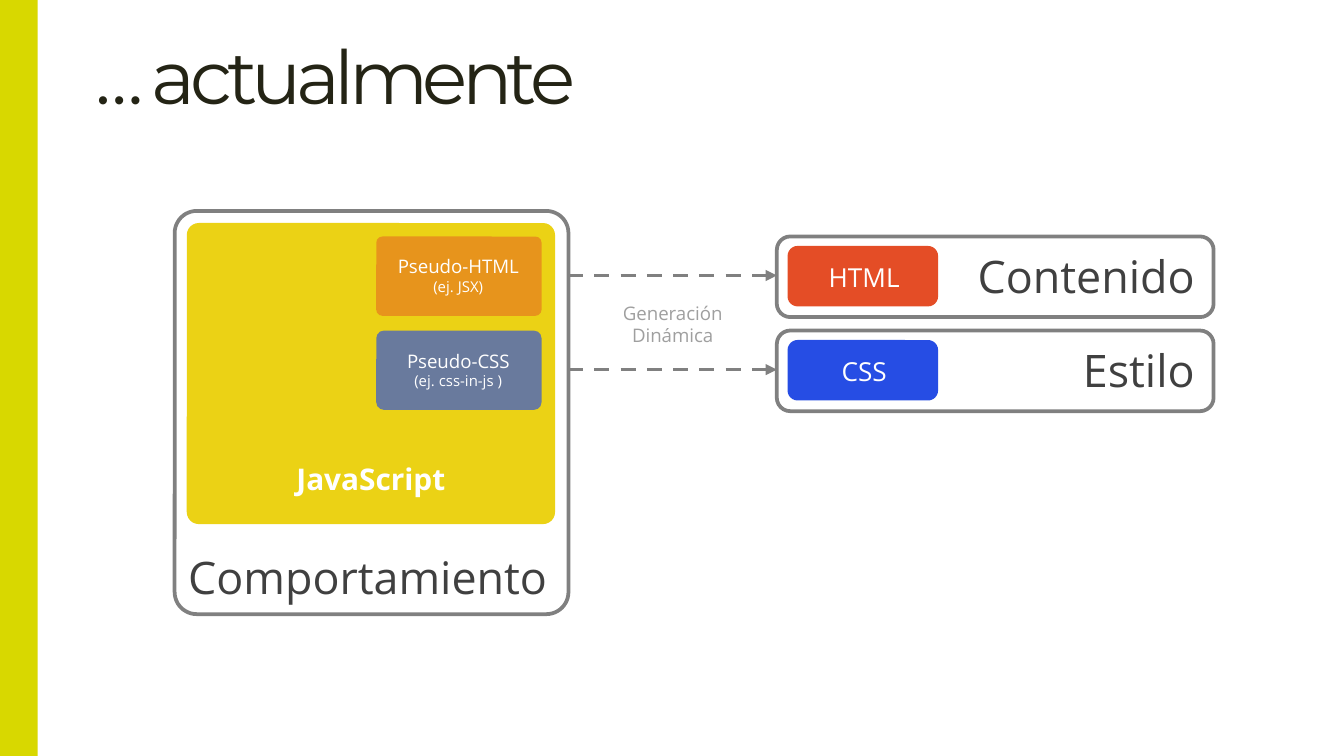
from dataclasses import dataclass

import pptx
import pptx.dml.color
import pptx.enum.dml
import pptx.enum.shapes
import pptx.enum.text
import pptx.oxml.ns
import pptx.util
from lxml import etree

Inches = pptx.util.Inches
Align = pptx.enum.text.PP_ALIGN
Anchor = pptx.enum.text.MSO_ANCHOR
Kind = pptx.enum.shapes.MSO_SHAPE
qn = pptx.oxml.ns.qn

GRAY, DARK, WHITE = "808080", "404040", "FFFFFF"
HTML_RED, CSS_BLUE = "E44D26", "264DE4"
SLIDE_WIDTH = 10
SLIDE_HEIGHT = SLIDE_WIDTH * 9 / 16


@dataclass
class Box:
    left: float
    top: float
    width: float
    height: float

    def lengths(self) -> list:
        return [Inches(v) for v in (self.left, self.top, self.width, self.height)]


@dataclass
class Line:
    text: str
    size: float
    color: str = WHITE
    bold: bool = False
    alpha: int = 100
    same_paragraph: bool = False


@dataclass
class Output:
    name: str
    role: str
    color: str
    top: float


@dataclass
class Pseudo:
    lines: list
    color: str
    alpha: int
    top: float
    radius: float
    label: Box


def set_attributes(target, values: dict) -> None:
    for name, value in values.items():
        setattr(target, name, value)


def paint(fill, color: str, alpha: int = 100) -> None:
    fill.solid()
    fill.fore_color.rgb = pptx.dml.color.RGBColor.from_string(color)
    if alpha < 100:
        for node in fill._xPr.iter(qn("a:srgbClr")):
            etree.SubElement(node, qn("a:alpha"), val=str(alpha * 1000))


def write(frame, lines: list, align=Align.CENTER, anchor=Anchor.MIDDLE,
          font: str = "Open Sans", inset: float = 0.05) -> None:
    margin = Inches(inset)
    set_attributes(frame, {
        "word_wrap": True, "vertical_anchor": anchor,
        "auto_size": pptx.enum.text.MSO_AUTO_SIZE.NONE,
        "margin_left": margin, "margin_right": margin,
        "margin_top": margin, "margin_bottom": margin,
    })
    paragraph = frame.paragraphs[0]
    for i, line in enumerate(lines):
        if line.same_paragraph:
            paragraph.add_line_break()
        elif i:
            paragraph = frame.add_paragraph()
        paragraph.alignment = align
        run = paragraph.add_run()
        run.text = line.text
        set_attributes(run.font, {"name": font, "bold": line.bold,
                                  "size": pptx.util.Pt(line.size)})
        paint(run.font.fill, line.color, line.alpha)


def add_label(slide, box: Box, lines: list, align=Align.CENTER) -> None:
    write(slide.shapes.add_textbox(*box.lengths()).text_frame, lines, align)


def add_panel(slide, box: Box, color: str, radius: float = 0, alpha: int = 100,
              outlined: bool = False):
    kind = Kind.ROUNDED_RECTANGLE if radius else Kind.RECTANGLE
    panel = slide.shapes.add_shape(kind, *box.lengths())
    panel.shadow.inherit = False
    if radius:
        panel.adjustments[0] = radius
    paint(panel.fill, color, alpha)
    if outlined:
        paint(panel.line.fill, GRAY)
        panel.line.width = pptx.util.Pt(2)
    else:
        panel.line.fill.background()
    return panel


def add_dashed_arrow(slide, left: float, right: float, y: float) -> None:
    arrow = slide.shapes.add_connector(
        pptx.enum.shapes.MSO_CONNECTOR.STRAIGHT,
        Inches(left), Inches(y), Inches(right), Inches(y))
    paint(arrow.line.fill, GRAY)
    set_attributes(arrow.line, {"width": pptx.util.Pt(2),
                                "dash_style": pptx.enum.dml.MSO_LINE.DASH})
    properties = arrow._element.spPr
    etree.SubElement(properties.find(qn("a:ln")), qn("a:tailEnd"), type="triangle")
    etree.SubElement(properties, qn("a:effectLst"))


def add_title(slide, text: str) -> None:
    title = slide.shapes.title
    set_attributes(title, dict(zip(("left", "top", "width", "height"),
                                   Box(0.71, 0, 9.02, 0.89).lengths())))
    write(title.text_frame, [Line(text, 40, "242415")], Align.LEFT,
          Anchor.BOTTOM, "Montserrat", 0)
    # Tight letter spacing, in hundredths of a point
    title.text_frame.paragraphs[0].runs[0].font._element.set("spc", "-300")


def add_behaviour(slide, pseudos: list) -> None:
    add_panel(slide, Box(1.3, 1.57, 2.93, 3), WHITE, 0.056, outlined=True)
    add_label(slide, Box(1.35, 4.04, 2.83, 0.5),
              [Line("Comportamiento", 24, DARK)], Align.LEFT)
    javascript = add_panel(slide, Box(1.39, 1.66, 2.74, 2.24), "EBD215", 0.04)
    write(javascript.text_frame, [Line("JavaScript", 16, bold=True)],
          anchor=Anchor.BOTTOM)
    javascript.text_frame.margin_bottom = Inches(0.18)
    for pseudo in pseudos:
        add_panel(slide, Box(2.8, pseudo.top, 1.23, 0.59), pseudo.color,
                  pseudo.radius, pseudo.alpha)
        add_label(slide, pseudo.label, pseudo.lines)


def add_output(slide, output: Output) -> None:
    top = output.top
    add_panel(slide, Box(5.78, top, 3.25, 0.6), WHITE, 0.167, outlined=True)
    add_label(slide, Box(5.81, top + 0.04, 3.13, 0.5),
              [Line(output.role, 24, DARK)], Align.RIGHT)
    add_panel(slide, Box(5.86, top + 0.07, 1.12, 0.45), output.color, 0.167)
    add_label(slide, Box(5.89, top + 0.13, 1.08, 0.34), [Line(output.name, 14)])


def main() -> None:
    deck = pptx.Presentation()
    set_attributes(deck, {"slide_width": Inches(SLIDE_WIDTH),
                          "slide_height": Inches(SLIDE_HEIGHT)})
    slide = deck.slides.add_slide(deck.slide_layouts[5])

    # Title and side band
    add_title(slide, "… actualmente")
    add_panel(slide, Box(0, 0, 0.28, SLIDE_HEIGHT), "D8D800")

    outputs = [Output("CSS", "Estilo", CSS_BLUE, 2.46),
               Output("HTML", "Contenido", HTML_RED, 1.76)]
    pseudos = [
        Pseudo([Line("Pseudo-HTML", 10), Line("(ej. JSX)", 8)],
               HTML_RED, 46, 1.76, 0.078, Box(2.84, 1.85, 1.14, 0.4)),
        Pseudo([Line("Pseudo-CSS", 10),
                Line("(ej. css-in-js )", 8, same_paragraph=True)],
               CSS_BLUE, 66, 2.46, 0.098, Box(2.82, 2.55, 1.18, 0.4)),
    ]

    # Dynamic generation arrows, starting behind the behaviour panel
    for output in outputs:
        add_dashed_arrow(slide, 4.03, 5.78, output.top + 0.29)
    add_label(slide, Box(4.53, 2.19, 0.95, 0.44),
              [Line(word, 10, DARK, alpha=50) for word in ("Generación", "Dinámica")])

    # Source on the left, generated outputs on the right
    add_behaviour(slide, pseudos)
    for output in outputs:
        add_output(slide, output)

    deck.save("out.pptx")


if __name__ == "__main__":
    main()
